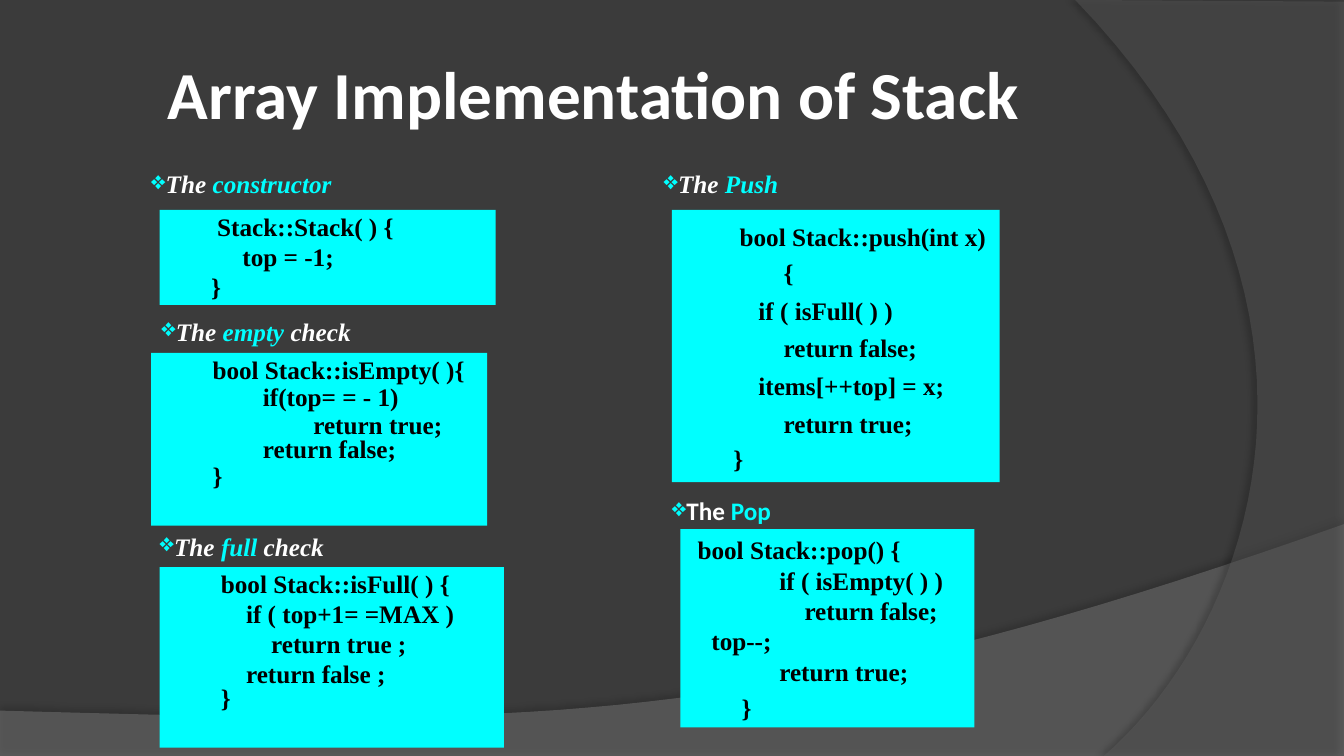
"""Build the slide on the array implementation of a stack."""
from lxml.etree import SubElement
from pptx import Presentation
from pptx.dml.color import RGBColor
from pptx.enum.shapes import MSO_SHAPE
from pptx.enum.text import MSO_ANCHOR, PP_ALIGN
from pptx.oxml.ns import qn
from pptx.util import Inches, Pt

DARK = RGBColor(0x3B, 0x3B, 0x3B)
GREY = RGBColor(0x7F, 0x7F, 0x7F)
SLATE = RGBColor(0x5E, 0x5E, 0x5E)
CYAN = RGBColor(0x00, 0xFF, 0xFF)
WHITE = RGBColor(0xFF, 0xFF, 0xFF)
BLACK = RGBColor(0x00, 0x00, 0x00)
SERIF, SANS = "Times New Roman", "Calibri"
COLS, ROWS = 160, 90
UNIT = Inches(1) / 12


def grid(*cells):
    """Turn grid cells into lengths."""
    return [round(cell * UNIT) for cell in cells]


def style(para, face, size, color):
    """Set the bold font of a paragraph."""
    font = para.font
    font.name, font.size, font.bold = face, Pt(size), True
    font.color.rgb = color


deck = Presentation()
deck.slide_width, deck.slide_height = grid(COLS, ROWS)
slide = deck.slides.add_slide(deck.slide_layouts[6])
slide.background.fill.solid()
slide.background.fill.fore_color.rgb = DARK
shapes = slide.shapes

# corners, curve controls, fill, alpha, shadow alpha, distance, angle
waves = [
    ([(0, 84.6), (0, 90), (160, 90), (160, 62.4)],
     [(89.4, 87.5), (62.5, 86.3), (0, 84.6)], GREY, 45, 35, 3.5, 270),
    ([(128, 0), (160, 0.2), (160, 90), (131.4, 90)],
     [(149.5, 74.3), (162.8, 36), (128, 0)], SLATE, 40, 45, 4, 180),
]
STEPS = 40
for edge, curve, color, alpha, shade, dist, angle in waves:
    pts = list(edge)
    bend = [edge[-1]] + curve
    for step in range(1, STEPS):
        t = step / STEPS
        share = [(1 - t) ** 3, 3 * t * (1 - t) ** 2, 3 * t * t * (1 - t), t ** 3]
        pts.append([sum(s * p[axis] for s, p in zip(share, bend)) for axis in (0, 1)])
    pts = [(round(x * 100), round(y * 100)) for x, y in pts]
    pen = shapes.build_freeform(*pts[0], scale=UNIT / 100)
    pen.add_line_segments(pts[1:], close=True)
    wave = pen.convert_to_shape()
    wave.fill.solid()
    wave.fill.fore_color.rgb = color
    wave.line.fill.background()
    wave.shadow.inherit = False
    props = wave._element.spPr
    tint = props.find(qn("a:solidFill"))[0]
    SubElement(tint, qn("a:alpha"), val=str(alpha * 1000))
    glow = SubElement(props.find(qn("a:effectLst")), qn("a:outerShdw"),
                      blurRad=str(Pt(4)), dist=str(Pt(dist)),
                      dir=str(angle * 60000), rotWithShape="0")
    tone = SubElement(glow, qn("a:srgbClr"), val="000000")
    SubElement(tone, qn("a:alpha"), val=str(shade * 1000))

title = shapes.add_textbox(*grid(20, 6.1, 122, 9.8)).text_frame
title.word_wrap = True
title.vertical_anchor = MSO_ANCHOR.MIDDLE
title.margin_left = title.margin_right = title.margin_top = title.margin_bottom = 0
title.text = "Array Implementation of Stack"
style(title.paragraphs[0], SANS, 48, WHITE)

heads = [
    (18, 20, "constructor", "", SERIF),
    (19.2, 37.6, "empty ", "check", SERIF),
    (19, 63.2, "full ", "check", SERIF),
    (79, 20, "Push", "", SERIF),
    (80, 59, "Pop", "", SANS),
]
for col, row, key, rest, face in heads:
    frame = shapes.add_textbox(*grid(col, row, 28, 4)).text_frame
    frame.word_wrap = True
    frame.margin_left = frame.margin_right = frame.margin_top = frame.margin_bottom = 0
    para = frame.paragraphs[0]
    props = para._p.get_or_add_pPr()
    props.set("marL", "0")
    props.set("indent", "0")
    mark = SubElement(props, qn("a:buClr"))
    SubElement(mark, qn("a:srgbClr"), val=str(CYAN))
    SubElement(props, qn("a:buChar"), char="❖")
    style(para, face, 18, WHITE)
    para.font.italic = face == SERIF
    for text, color in (("The ", WHITE), (key, CYAN), (rest, WHITE)):
        if text:
            run = para.add_run()
            run.text = text
            run.font.color.rgb = color

# box, inset, lines of (text, left, first, line spacing, space before)
codes = [
    ((19, 25, 40, 11.3), (0, 0.01), [
        ("         Stack::Stack( ) {", 0.01, 0, Pt(21.6), 0),
        ("     top = -1;", 0.51, 0, Pt(21.6), 0),
        ("}", 0.51, 0, Pt(21.6), 0)]),
    ((18, 42, 40, 20.6), (0.1, 0.05), [
        ("bool Stack::isEmpty( ){", 0.51, 0, Pt(19.2), 0),
        ("if(top= = - 1)", 1.01, 0, Pt(19.2), 0),
        ("return true;\vreturn false;", 1.01, 0.5, 0.8, 2.4),
        ("}", 0.51, 0, Pt(19.2), 0)]),
    ((19, 67.5, 41, 21.5), (0.1, 0.05), [
        ("bool Stack::isFull( ) {", 1.01, -0.5, Pt(19.2), 0),
        ("    if ( top+1= =MAX )", 1.01, -0.5, Pt(19.2), 2.2),
        ("        return true ;", 1.01, -0.5, Pt(19.2), 2.2),
        ("    return false ;", 1.01, -0.5, Pt(19.2), 2.2),
        ("}", 0.51, 0, Pt(16.8), 0)]),
    ((80, 25, 39, 32.4), (0.1, 0.05), [
        (" bool Stack::push(int x)\v{", 1.01, -0.5, 1.2, 0),
        ("    if ( isFull( ) )", 1.01, -0.5, 1.2, 1),
        ("        return false;", 1.01, -0.5, 1.2, 1),
        ("    items[++top] = x;", 1.01, -0.5, 1.2, 1),
        ("        return true;", 1.01, -0.5, 1.2, 1),
        ("}", 0.51, 0, 1.0, 3.9)]),
    ((81, 63, 35, 23.6), (0.1, 0.05), [
        (" bool Stack::pop() {", 0.21, -0.2, 1.0, 0),
        ("              if ( isEmpty( ) )", 0.21, -0.2, 1.0, 0.3),
        ("                  return false;\vtop--;", 0.21, -0.2, 1.0, 0.3),
        ("              return true;", 0.21, -0.2, 1.0, 0.3),
        ("}", 0.51, 0, 1.0, 3.8)]),
]
for cells, (side, top), lines in codes:
    box = shapes.add_shape(MSO_SHAPE.RECTANGLE, *grid(*cells))
    box.fill.solid()
    box.fill.fore_color.rgb = CYAN
    box.line.fill.background()
    box.shadow.inherit = False
    frame = box.text_frame
    frame.word_wrap = True
    frame.vertical_anchor = MSO_ANCHOR.TOP
    frame.margin_left = frame.margin_right = Inches(side)
    frame.margin_top = frame.margin_bottom = Inches(top)
    for num, (text, left, first, space, before) in enumerate(lines):
        para = frame.add_paragraph() if num else frame.paragraphs[0]
        para.text = text
        para.alignment = PP_ALIGN.LEFT
        para.line_spacing = space
        para.space_before = Pt(before)
        props = para._p.get_or_add_pPr()
        props.set("marL", str(Inches(left)))
        props.set("indent", str(Inches(first)))
        style(para, SERIF, 18, BLACK)

deck.save("out.pptx")
